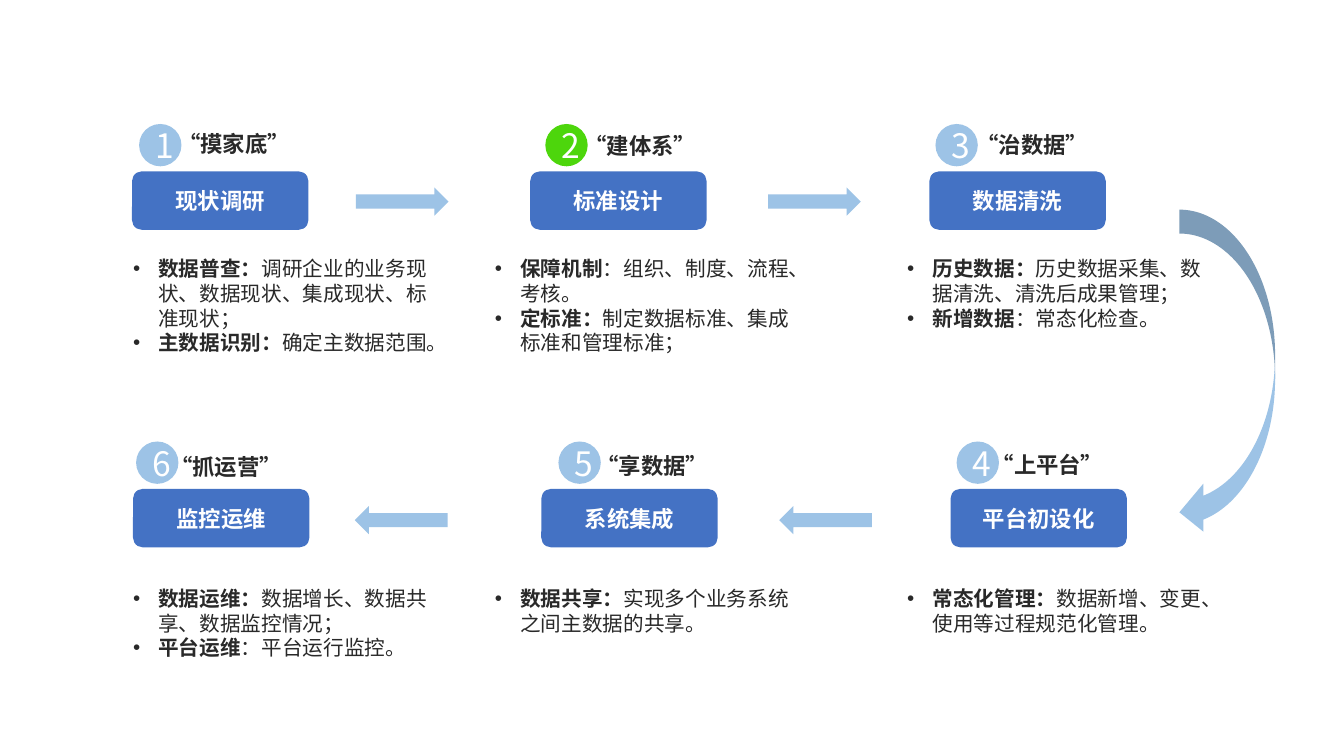
from lxml import etree
from pptx import Presentation
from pptx.dml.color import RGBColor
from pptx.enum.lang import MSO_LANGUAGE_ID
from pptx.enum.shapes import MSO_SHAPE
from pptx.enum.text import MSO_ANCHOR, MSO_AUTO_SIZE, PP_ALIGN
from pptx.oxml.ns import qn
from pptx.util import Inches, Pt

CHINESE = MSO_LANGUAGE_ID.SIMPLIFIED_CHINESE
ROUNDED = MSO_SHAPE.ROUNDED_RECTANGLE
OVAL = MSO_SHAPE.OVAL
ARROW = MSO_SHAPE.RIGHT_ARROW
CURVED_ARROW = MSO_SHAPE.CURVED_LEFT_ARROW
MIDDLE = MSO_ANCHOR.MIDDLE
GROW = MSO_AUTO_SIZE.SHAPE_TO_FIT_TEXT
CENTER = PP_ALIGN.CENTER

BLUE = RGBColor(0x44, 0x72, 0xC4)
SKY = RGBColor(0x9D, 0xC3, 0xE6)
GREEN = RGBColor(0x4D, 0xD6, 0x0C)
WHITE = RGBColor(0xFF, 0xFF, 0xFF)
INK = RGBColor(0x29, 0x29, 0x29)

CJK_FONT = "Noto Sans CJK SC"
COLUMNS, ROWS = 133.33, 75
TOP_ROW, BOTTOM_ROW = 17, 48.5

STAGES = [
    ("1", "现状调研", "“摸家底”", TOP_ROW, 13.1, 13.8, (16.7, 12.4), (11.8, 24.7, 11.3), SKY,
     [("数据普查：", "调研企业的业务现状、数据现状、集成现状、标准现状；"),
      ("主数据识别：", "确定主数据范围。")]),
    ("2", "标准设计", "“建体系”", TOP_ROW, 52.6, 54.1, (57, 12.6), (47.7, 24.7, 13.7), GREEN,
     [("保障机制", "：组织、制度、流程、考核。"),
      ("定标准：", "制定数据标准、集成标准和管理标准；")]),
    ("3", "数据清洗", "“治数据”", TOP_ROW, 92.2, 92.8, (95.9, 12.5), (88.6, 24.7, 8.8), SKY,
     [("历史数据：", "历史数据采集、数据清洗、清洗后成果管理；"),
      ("新增数据", "：常态化检查。")]),
    ("4", "平台初设化", "“上平台”", BOTTOM_ROW, 94.3, 94.9, (97.4, 44.2), (88.6, 57.4, 6.3), SKY,
     [("常态化管理：", "数据新增、变更、使用等过程规范化管理。")]),
    ("5", "系统集成", "“享数据”", BOTTOM_ROW, 53.7, 55.4, (58.2, 44.3), (47.7, 57.4, 6.3), SKY,
     [("数据共享：", "实现多个业务系统之间主数据的共享。")]),
    ("6", "监控运维", "“抓运营”", BOTTOM_ROW, 13.2, 13.5, (15.9, 44.4), (11.8, 57.4, 8.8), SKY,
     [("数据运维：", "数据增长、数据共享、数据监控情况；"),
      ("平台运维", "：平台运行监控。")]),
]
ARROWS = [(35.3, 18.6, 0), (76.2, 18.6, 0), (77.3, 50.2, 180), (35.2, 50.2, 180)]


class SlideBuilder:
    name_format = {"name": CJK_FONT, "size": Pt(16), "bold": True}
    number_format = {"name": CJK_FONT, "size": Pt(24), "bold": False}
    label_format = {"name": "Arial", "size": Pt(16), "bold": True}
    list_format = {"name": CJK_FONT, "size": Pt(14.7)}
    list_frame = {"margin_left": Inches(0.14), "margin_right": Inches(0.14),
                  "margin_top": Inches(0.07), "margin_bottom": Inches(0.07),
                  "word_wrap": True, "auto_size": GROW}
    label_frame = {"word_wrap": False, "auto_size": GROW}

    def __init__(self, deck):
        self.column = deck.slide_width / COLUMNS
        self.row = deck.slide_height / ROWS
        self.page = deck.slides.add_slide(deck.slide_layouts[6])

    def place(self, left, top, width, height):
        return (round(left * self.column), round(top * self.row),
                round(width * self.column), round(height * self.row))

    def apply(self, target, values):
        for name, value in values.items():
            setattr(target, name, value)

    def add_span(self, para, text, color, values):
        span = para.add_run()
        span.text = text
        self.apply(span.font, {**values, "language_id": CHINESE})
        span.font.color.rgb = color
        east_asian = etree.SubElement(span.font._element, qn("a:ea"))
        east_asian.set("typeface", CJK_FONT)

    def shape(self, kind, area, color, text="", values=None, turn=0):
        box = self.page.shapes.add_shape(kind, *self.place(*area))
        box.shadow.inherit = False
        box.fill.solid()
        box.fill.fore_color.rgb = color
        box.line.fill.background()
        box.rotation = turn
        if text:
            box.text_frame.vertical_anchor = MIDDLE
            para = box.text_frame.paragraphs[0]
            para.alignment = CENTER
            self.add_span(para, text, WHITE, values)

    def label(self, left, top, text):
        box = self.page.shapes.add_textbox(*self.place(left, top, 13.2, 3.7))
        self.apply(box.text_frame, self.label_frame)
        para = box.text_frame.paragraphs[0]
        para.line_spacing = Pt(19.4)
        self.add_span(para, text, INK, self.label_format)

    def bullets(self, left, top, height, items):
        box = self.page.shapes.add_textbox(*self.place(left, top, 32.7, height))
        frame = box.text_frame
        self.apply(frame, self.list_frame)
        for index, (heading, detail) in enumerate(items):
            para = frame.add_paragraph() if index else frame.paragraphs[0]
            para.line_spacing = Pt(17.7)
            settings = para._p.get_or_add_pPr()
            settings.set("marL", str(Inches(0.25)))
            settings.set("indent", str(-Inches(0.25)))
            etree.SubElement(settings, qn("a:buFont")).set("typeface", "Arial")
            etree.SubElement(settings, qn("a:buChar")).set("char", "•")
            for text, bold in ((heading, True), (detail, False)):
                self.add_span(para, text, INK, {**self.list_format, "bold": bold})

    def stage(self, number, name, label, top, box_left, circle_left,
              label_at, list_area, color, items):
        self.shape(ROUNDED, (box_left, top, 17.5, 5.8), BLUE, name, self.name_format)
        self.shape(OVAL, (circle_left, top - 4.7, 4.2, 4.2), color, number, self.number_format)
        self.label(*label_at, label)
        self.bullets(*list_area, items)

    def arrow(self, left, top, turn):
        self.shape(ARROW, (left, top, 9.2, 2.8), SKY, turn=turn)


def main():
    deck = Presentation()
    deck.slide_width = Inches(13.33)
    deck.slide_height = Inches(7.5)
    builder = SlideBuilder(deck)
    for stage in STAGES:
        builder.stage(*stage)
    for arrow in ARROWS:
        builder.arrow(*arrow)
    builder.shape(CURVED_ARROW, (117, 20.8, 9.5, 32.4), SKY)
    deck.save("out.pptx")


if __name__ == "__main__":
    main()
